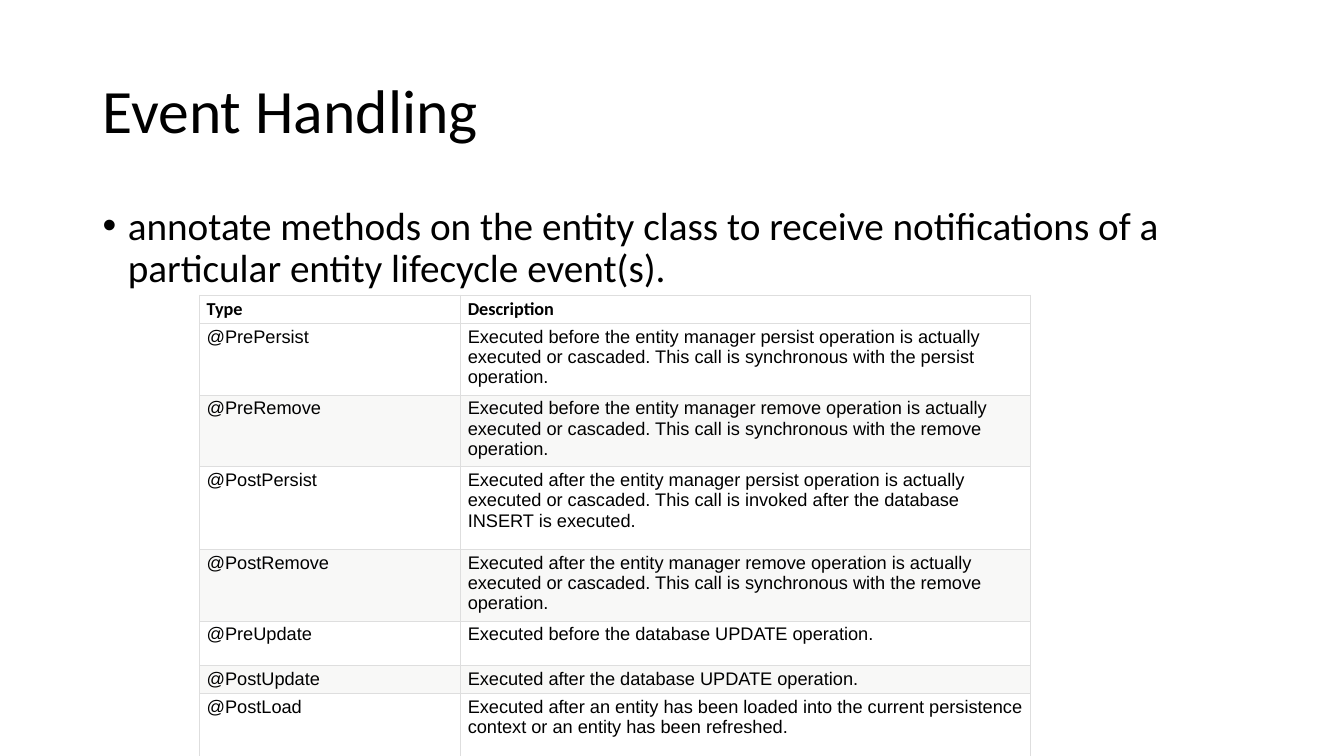
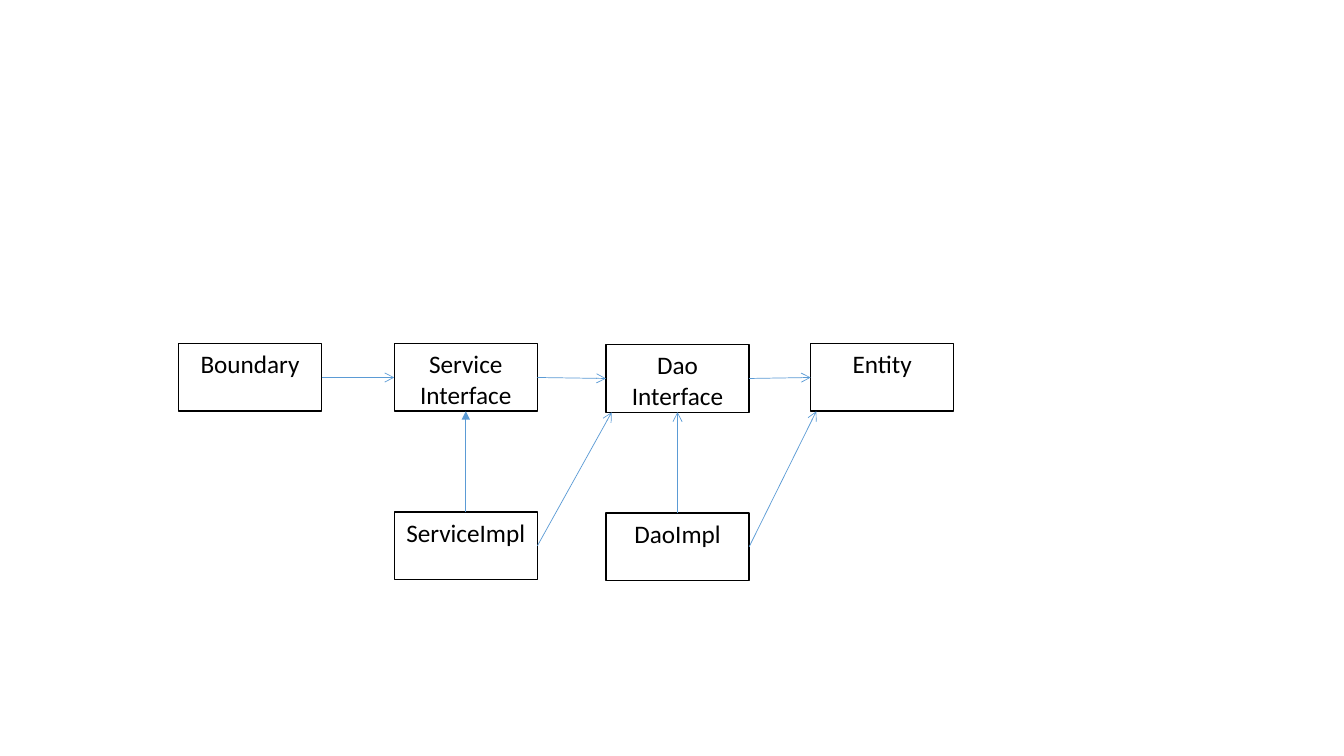
from lxml import etree
from pptx import Presentation
from pptx.dml.color import RGBColor
from pptx.enum.shapes import MSO_CONNECTOR, MSO_SHAPE
from pptx.enum.text import MSO_ANCHOR, PP_ALIGN
from pptx.oxml.ns import qn
from pptx.util import Inches, Pt

STRAIGHT = MSO_CONNECTOR.STRAIGHT
RECTANGLE = MSO_SHAPE.RECTANGLE
TOP, MIDDLE = MSO_ANCHOR.TOP, MSO_ANCHOR.MIDDLE
LEFT, CENTER = PP_ALIGN.LEFT, PP_ALIGN.CENTER

BLACK = RGBColor(0x00, 0x00, 0x00)
WHITE = RGBColor(0xFF, 0xFF, 0xFF)
STRIPE = RGBColor(0xF8, 0xF8, 0xF7)
GRID = RGBColor(0xDE, 0xDE, 0xDE)
BLUE = RGBColor(0x5B, 0x9B, 0xD5)

TITLE = {"name": "Calibri", "size": Pt(44)}
BODY = {"name": "Calibri", "size": Pt(28)}
NODE = {"name": "Calibri", "size": Pt(18)}
HEADER = {"name": "Calibri", "size": Pt(13), "bold": True}
CELL = {"name": "Arial", "size": Pt(13), "bold": False}

TITLE_BOX = (0.92, 0.4, 11.5, 1.45)
BODY_BOX = (0.92, 2, 11.5, 4.76)
TABLE_BOX = (1.98, 2.93, 8.24, 4.36)
DIAGRAM_BOX = (1.77, 3.41, 7.69, 2.34)

COLUMN_WIDTHS = (2.59, 5.65)
ROW_HEIGHTS = (0.28, 0.63, 0.63, 0.82, 0.63, 0.44, 0.28, 0.63)
EVENT_ROWS = (
    ("Type", "Description"),
    ("@PrePersist", "Executed before the entity manager persist operation is actually "
     "executed or cascaded. This call is synchronous with the persist operation."),
    ("@PreRemove", "Executed before the entity manager remove operation is actually "
     "executed or cascaded. This call is synchronous with the remove operation."),
    ("@PostPersist", "Executed after the entity manager persist operation is actually "
     "executed or cascaded. This call is invoked after the database INSERT is executed."),
    ("@PostRemove", "Executed after the entity manager remove operation is actually "
     "executed or cascaded. This call is synchronous with the remove operation."),
    ("@PreUpdate", "Executed before the database UPDATE operation."),
    ("@PostUpdate", "Executed after the database UPDATE operation."),
    ("@PostLoad", "Executed after an entity has been loaded into the current "
     "persistence context or an entity has been refreshed."),
)

NODE_WIDTH, NODE_HEIGHT = 1.42, 0.67
NODES = {
    "Boundary": (0, 0),
    "Service\nInterface": (2.14, 0),
    "Dao\nInterface": (4.24, 0.01),
    "Entity": (6.27, 0),
    "ServiceImpl": (2.14, 1.67),
    "DaoImpl": (4.24, 1.68),
}
SIDES = {
    "left": (0, 0.5),
    "right": (1, 0.5),
    "top": (0.5, 0),
    "bottom": (0.5, 1),
    "corner": (0.04, 1),
}
ARROWS = (
    ("Boundary", "right", "Service\nInterface", "left", "arrow"),
    ("Service\nInterface", "right", "Dao\nInterface", "left", "arrow"),
    ("Dao\nInterface", "right", "Entity", "left", "arrow"),
    ("ServiceImpl", "right", "Dao\nInterface", "corner", "arrow"),
    ("ServiceImpl", "top", "Service\nInterface", "bottom", "triangle"),
    ("DaoImpl", "top", "Dao\nInterface", "bottom", "arrow"),
    ("DaoImpl", "right", "Entity", "corner", "arrow"),
)


def inches(values):
    return [Inches(value) for value in values]


def write_text(frame, text, style, align=LEFT):
    for index, line in enumerate(text.split("\n")):
        para = frame.add_paragraph() if index else frame.paragraphs[0]
        para.alignment = align
        span = para.add_run()
        span.text = line
        span.font.color.rgb = BLACK
        for name, value in style.items():
            setattr(span.font, name, value)


def add_text(page, box, text, style, anchor=TOP):
    frame = page.shapes.add_textbox(*inches(box)).text_frame
    frame.word_wrap = True
    frame.vertical_anchor = anchor
    write_text(frame, text, style)
    para = frame.paragraphs[0]
    para.line_spacing = 0.9
    return para


def add_bullet(page, box, text):
    para = add_text(page, box, text, BODY)
    para.space_before = Pt(10)
    properties = para._p.get_or_add_pPr()
    properties.set("marL", str(Inches(0.25)))
    properties.set("indent", str(Inches(-0.25)))
    etree.SubElement(properties, qn("a:buFont"), typeface="Arial")
    etree.SubElement(properties, qn("a:buChar"), char="\u2022")


def add_borders(cell):
    properties = cell._tc.get_or_add_tcPr()
    for edge in ("a:lnL", "a:lnR", "a:lnT", "a:lnB"):
        border = etree.SubElement(properties, qn(edge), w=str(Pt(0.75)))
        fill = etree.SubElement(border, qn("a:solidFill"))
        etree.SubElement(fill, qn("a:srgbClr"), val=str(GRID))


def add_event_table(page, box):
    table = page.shapes.add_table(len(EVENT_ROWS), len(COLUMN_WIDTHS), *inches(box)).table
    table.first_row = table.horz_banding = False
    for column, width in zip(table.columns, COLUMN_WIDTHS):
        column.width = Inches(width)
    margins = {"margin_left": 0.07, "margin_right": 0.07,
               "margin_top": 0.03, "margin_bottom": 0.03}
    for row_index, texts in enumerate(EVENT_ROWS):
        table.rows[row_index].height = Inches(ROW_HEIGHTS[row_index])
        striped = row_index and row_index % 2 == 0
        for column_index, text in enumerate(texts):
            cell = table.cell(row_index, column_index)
            for name, value in margins.items():
                setattr(cell, name, Inches(value))
            add_borders(cell)
            cell.fill.solid()
            cell.fill.fore_color.rgb = STRIPE if striped else WHITE
            write_text(cell.text_frame, text, CELL if row_index else HEADER)


def add_node(page, box, text):
    node = page.shapes.add_shape(RECTANGLE, *inches(box))
    node.shadow.inherit = False
    node.fill.background()
    node.line.color.rgb = BLACK
    node.line.width = Pt(1)
    node.text_frame.word_wrap = True
    node.text_frame.vertical_anchor = TOP
    write_text(node.text_frame, text, NODE, CENTER)


def add_arrow(page, start, end, head):
    arrow = page.shapes.add_connector(STRAIGHT, *inches(start + end))
    arrow.line.color.rgb = BLUE
    arrow.line.width = Pt(0.5)
    etree.SubElement(arrow.line._get_or_add_ln(), qn("a:tailEnd"), type=head)
    etree.SubElement(arrow._element.spPr, qn("a:effectLst"))


def add_layer_diagram(page, box):
    left, top = box[:2]

    def side_point(name, side):
        across, down = SIDES[side]
        x, y = NODES[name]
        return left + x + across * NODE_WIDTH, top + y + down * NODE_HEIGHT

    for name, (x, y) in NODES.items():
        add_node(page, (left + x, top + y, NODE_WIDTH, NODE_HEIGHT), name)
    for source, source_side, target, target_side, head in ARROWS:
        add_arrow(page, side_point(source, source_side), side_point(target, target_side), head)


def add_page(deck):
    return deck.slides.add_slide(deck.slide_layouts[6])


def build_event_page(deck):
    page = add_page(deck)
    add_text(page, TITLE_BOX, "Event Handling", TITLE, MIDDLE)
    add_bullet(page, BODY_BOX, "annotate methods on the entity class to receive "
               "notifications of a particular entity lifecycle event(s).")
    add_event_table(page, TABLE_BOX)


def build_diagram_page(deck):
    add_layer_diagram(add_page(deck), DIAGRAM_BOX)


deck = Presentation()
deck.slide_width, deck.slide_height = inches((13.33, 7.5))
build_event_page(deck)
build_diagram_page(deck)
deck.save("out.pptx")
